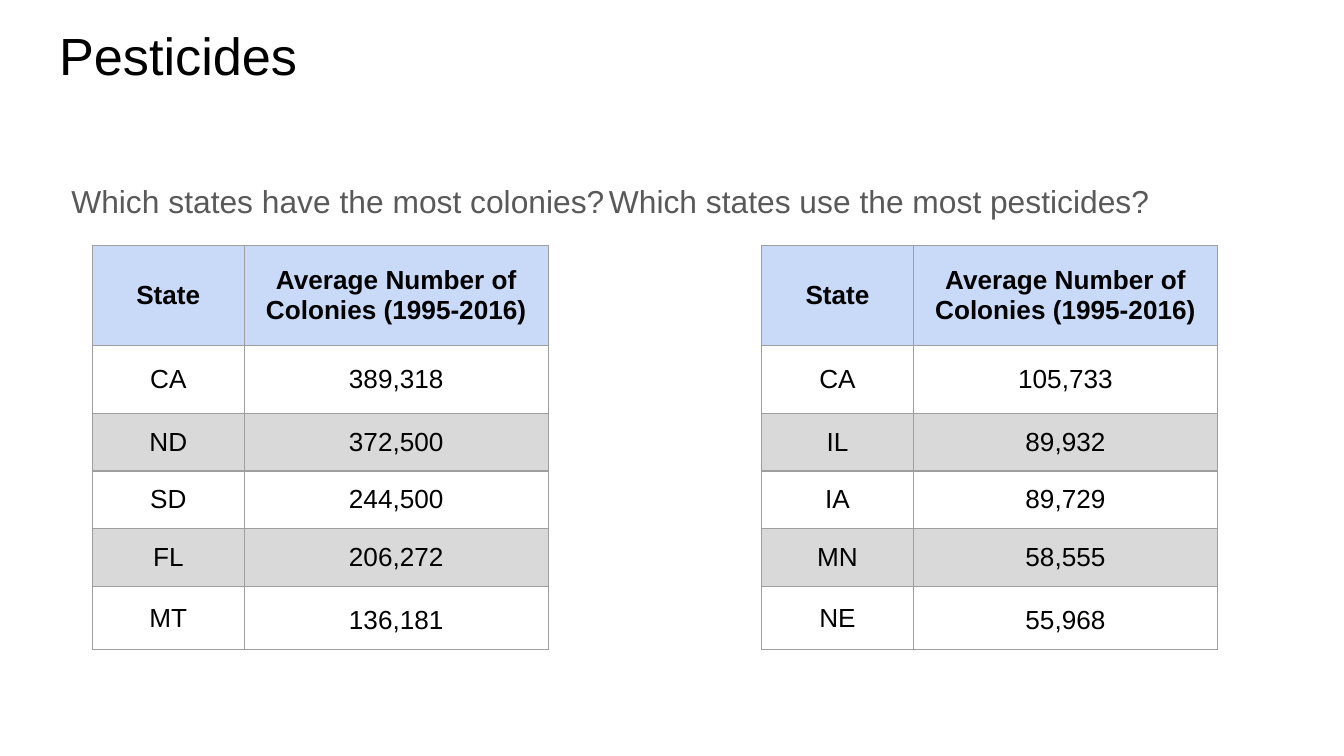
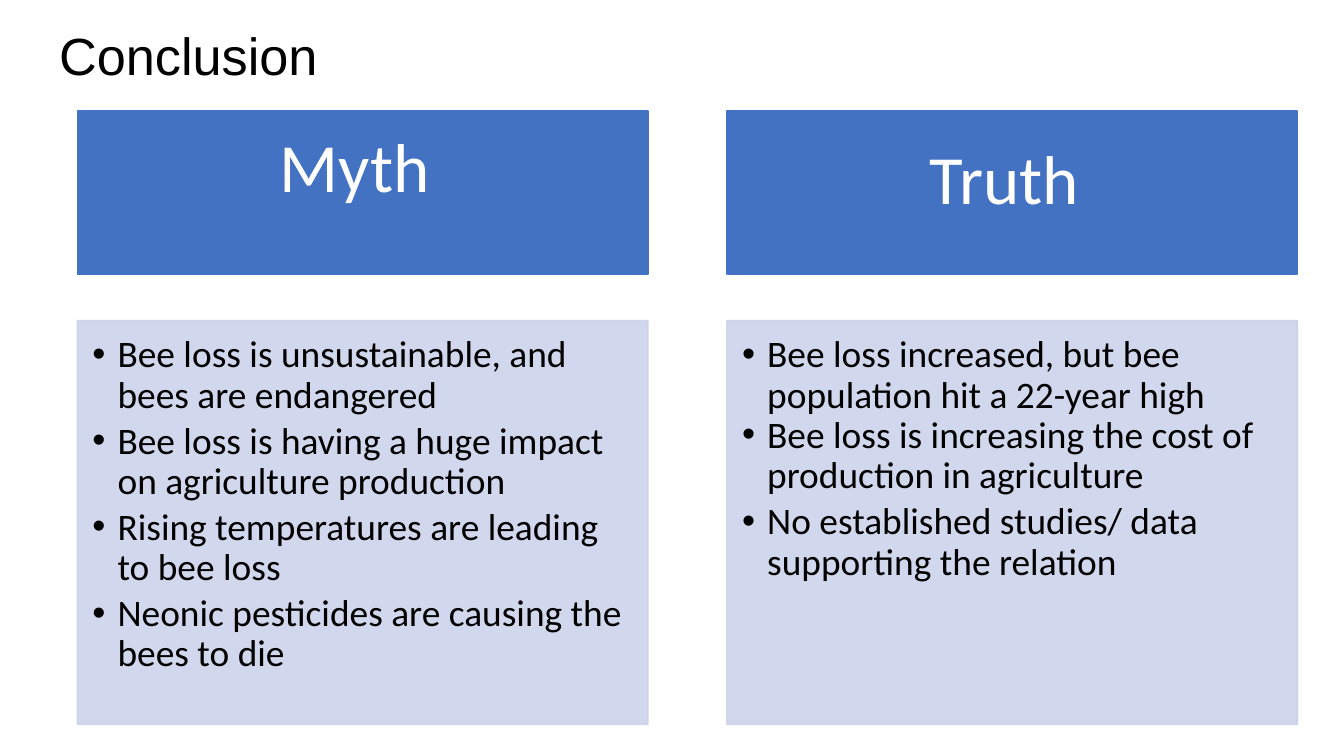
from dataclasses import dataclass

from lxml.etree import SubElement
from pptx import Presentation
from pptx.dml.color import RGBColor
from pptx.enum.shapes import MSO_SHAPE
from pptx.enum.text import MSO_ANCHOR, MSO_AUTO_SIZE, PP_ALIGN
from pptx.oxml.ns import qn
from pptx.util import Pt


@dataclass(frozen=True)
class Theme:
    # Colours
    black: str = "000000"
    white: str = "FFFFFF"
    question: str = "595959"
    table_head: str = "C9DAF8"
    table_band: str = "D9D9D9"
    table_border: str = "9E9E9E"
    card_head: str = "4372C3"
    card_body: str = "CCD3EA"
    # Fonts and sizes in points
    font: str = "Arial"
    card_font: str = "Calibri"
    title_size: float = 28
    question_size: float = 17
    table_size: float = 14
    card_head_size: float = 37
    card_body_size: float = 20


THEME = Theme()
TITLE_BOX = (24.5, 5, 671, 45.4)
QUESTION_BOX = (31, 87.1, 664.6, 308.2)
SECOND_QUESTION_TAB = 342
INSETS = (7.2, 7.2, 7.2, 7.2)

TABLE_LEFT, TABLE_STEP, TABLE_TOP = 49.5, 358.5, 131.5
COLUMN_WIDTHS = (81.4, 162.9)
ROW_HEIGHTS = (53.5, 36.4, 30.9, 30.9, 30.9, 34)
TABLE_HEADER = ("State", "Average Number of Colonies (1995-2016)")
TABLES = (
    (("CA", "389,318"), ("ND", "372,500"), ("SD", "244,500"),
     ("FL", "206,272"), ("MT", "136,181")),
    (("CA", "105,733"), ("IL", "89,932"), ("IA", "89,729"),
     ("MN", "58,555"), ("NE", "55,968")),
)

CARD_LEFT, CARD_STEP, CARD_WIDTH = 41.5, 348, 305.5
HEAD_TOP, HEAD_HEIGHT = 59.6, 87.4
BODY_TOP, BODY_HEIGHT = 171.8, 216.2
# Heading, bottom inset of the heading, (bullet, space before)
CARDS = (
    ("Myth ", 29, (
        ("Bee loss is unsustainable, and bees are endangered", 0),
        ("Bee loss is having a huge impact on agriculture production", 3),
        ("Rising temperatures are leading to bee loss", 3),
        ("Neonic pesticides are causing the bees to die", 3))),
    ("Truth ", 16, (
        ("Bee loss increased, but bee population hit a 22-year high", 0),
        ("Bee loss is increasing the cost of production in agriculture", 0),
        ("No established studies/ data supporting the relation", 3))),
)


def apply_format(target, **values):
    for name, value in values.items():
        setattr(target, name, value)


def place(shape, box):
    names = ("left", "top", "width", "height")
    apply_format(shape, **{name: Pt(value) for name, value in zip(names, box)})


def set_margins(target, insets):
    names = ("margin_left", "margin_top", "margin_right", "margin_bottom")
    apply_format(target, **{name: Pt(value) for name, value in zip(names, insets)})


def set_frame(shape, insets, anchor=MSO_ANCHOR.TOP):
    frame = shape.text_frame
    apply_format(frame, word_wrap=True, auto_size=MSO_AUTO_SIZE.NONE,
                 vertical_anchor=anchor)
    set_margins(frame, insets)
    return frame


def write(paragraph, text, size, color, font=THEME.font, bold=False,
          align=PP_ALIGN.LEFT, spacing=1.0, before=0):
    apply_format(paragraph, alignment=align, line_spacing=spacing,
                 space_before=Pt(before), space_after=Pt(0))
    run = paragraph.add_run()
    run.text = text
    apply_format(run.font, name=font, size=Pt(size), bold=bold)
    run.font.color.rgb = RGBColor.from_string(color)


def set_indent(paragraph, margin, indent):
    properties = paragraph._p.get_or_add_pPr()
    properties.set("marL", str(Pt(margin)))
    properties.set("indent", str(Pt(indent)))
    return properties


def add_bullet(paragraph, color):
    properties = set_indent(paragraph, 13.5, -13.5)
    bullet_color = SubElement(properties, qn("a:buClr"))
    SubElement(bullet_color, qn("a:srgbClr"), val=color)
    SubElement(properties, qn("a:buFont"), typeface=THEME.font)
    SubElement(properties, qn("a:buChar"), char="•")


def add_tab_stop(paragraph, position):
    properties = set_indent(paragraph, 0, 0)
    SubElement(properties, qn("a:buNone"))
    tabs = SubElement(properties, qn("a:tabLst"))
    SubElement(tabs, qn("a:tab"), pos=str(Pt(position)), algn="l")


def paint(shape, color, opacity=100):
    shape.fill.solid()
    shape.fill.fore_color.rgb = RGBColor.from_string(color)
    shape.line.color.rgb = RGBColor.from_string(color)
    shape.line.width = Pt(1)
    if opacity < 100:
        for rgb in shape._element.spPr.iter(qn("a:srgbClr")):
            SubElement(rgb, qn("a:alpha"), val=str(opacity * 1000))


def add_slide(presentation, layout_index, title):
    slide = presentation.slides.add_slide(presentation.slide_layouts[layout_index])
    place(slide.shapes.title, TITLE_BOX)
    frame = set_frame(slide.shapes.title, INSETS)
    write(frame.paragraphs[0], title, THEME.title_size, THEME.black)
    return slide


def add_questions(slide, first, second):
    body = slide.placeholders[1]
    place(body, QUESTION_BOX)
    paragraph = set_frame(body, INSETS).paragraphs[0]
    write(paragraph, f"{first}\t{second}", THEME.question_size, THEME.question,
          spacing=1.15)
    add_tab_stop(paragraph, SECOND_QUESTION_TAB)


def add_borders(cell):
    properties = cell._tc.get_or_add_tcPr()
    for side in ("lnL", "lnR", "lnT", "lnB"):
        line = SubElement(properties, qn(f"a:{side}"), w=str(Pt(0.75)))
        fill = SubElement(line, qn("a:solidFill"))
        SubElement(fill, qn("a:srgbClr"), val=THEME.table_border)


def format_cell(cell, text, fill, **text_format):
    cell.vertical_anchor = MSO_ANCHOR.MIDDLE
    set_margins(cell, INSETS)
    add_borders(cell)
    cell.fill.solid()
    cell.fill.fore_color.rgb = RGBColor.from_string(fill)
    write(cell.text_frame.paragraphs[0], text, THEME.table_size, THEME.black,
          align=PP_ALIGN.CENTER, **text_format)


def add_state_table(slide, left, records):
    rows = (TABLE_HEADER, *records)
    table = slide.shapes.add_table(
        len(rows), len(COLUMN_WIDTHS), Pt(left), Pt(TABLE_TOP),
        Pt(sum(COLUMN_WIDTHS)), Pt(sum(ROW_HEIGHTS))).table
    apply_format(table, first_row=False, horz_banding=False)
    for column, width in zip(table.columns, COLUMN_WIDTHS):
        column.width = Pt(width)
    for row_index, values in enumerate(rows):
        table.rows[row_index].height = Pt(ROW_HEIGHTS[row_index])
        is_header = row_index == 0
        band = THEME.white if row_index % 2 else THEME.table_band
        for column_index, text in enumerate(values):
            is_last = (row_index, column_index) == (len(rows) - 1, 1)
            format_cell(table.cell(row_index, column_index), text,
                        THEME.table_head if is_header else band,
                        bold=is_header, spacing=1.15 if is_last else 1.0)


def add_card(slide, left, body, heading, bottom_inset, bullets):
    # Heading bar
    bar = slide.shapes.add_shape(MSO_SHAPE.RECTANGLE, 0, 0, 0, 0)
    place(bar, (left, HEAD_TOP, CARD_WIDTH, HEAD_HEIGHT))
    bar.shadow.inherit = False
    paint(bar, THEME.card_head)
    frame = set_frame(bar, (21, 5, 21, bottom_inset), MSO_ANCHOR.MIDDLE)
    write(frame.paragraphs[0], heading, THEME.card_head_size, THEME.white,
          THEME.card_font, align=PP_ALIGN.CENTER, spacing=0.9)

    # Bullet list
    place(body, (left, BODY_TOP, CARD_WIDTH, BODY_HEIGHT))
    paint(body, THEME.card_body, opacity=90)
    frame = set_frame(body, (8, 8, 10.7, 12))
    for index, (text, before) in enumerate(bullets):
        paragraph = frame.add_paragraph() if index else frame.paragraphs[0]
        write(paragraph, text, THEME.card_body_size, THEME.black,
              THEME.card_font, spacing=0.9, before=before)
        add_bullet(paragraph, THEME.black)


def main():
    presentation = Presentation()
    apply_format(presentation, slide_width=Pt(720), slide_height=Pt(405))

    # Pesticides: two questions, each answered by a table
    slide = add_slide(presentation, 1, "Pesticides")
    add_questions(slide, "Which states have the most colonies?",
                  "Which states use the most pesticides?")
    for index, records in enumerate(TABLES):
        add_state_table(slide, TABLE_LEFT + index * TABLE_STEP, records)

    # Conclusion: myth beside truth
    slide = add_slide(presentation, 3, "Conclusion")
    for index, card in enumerate(CARDS):
        add_card(slide, CARD_LEFT + index * CARD_STEP,
                 slide.placeholders[index + 1], *card)

    presentation.save("out.pptx")


if __name__ == "__main__":
    main()
